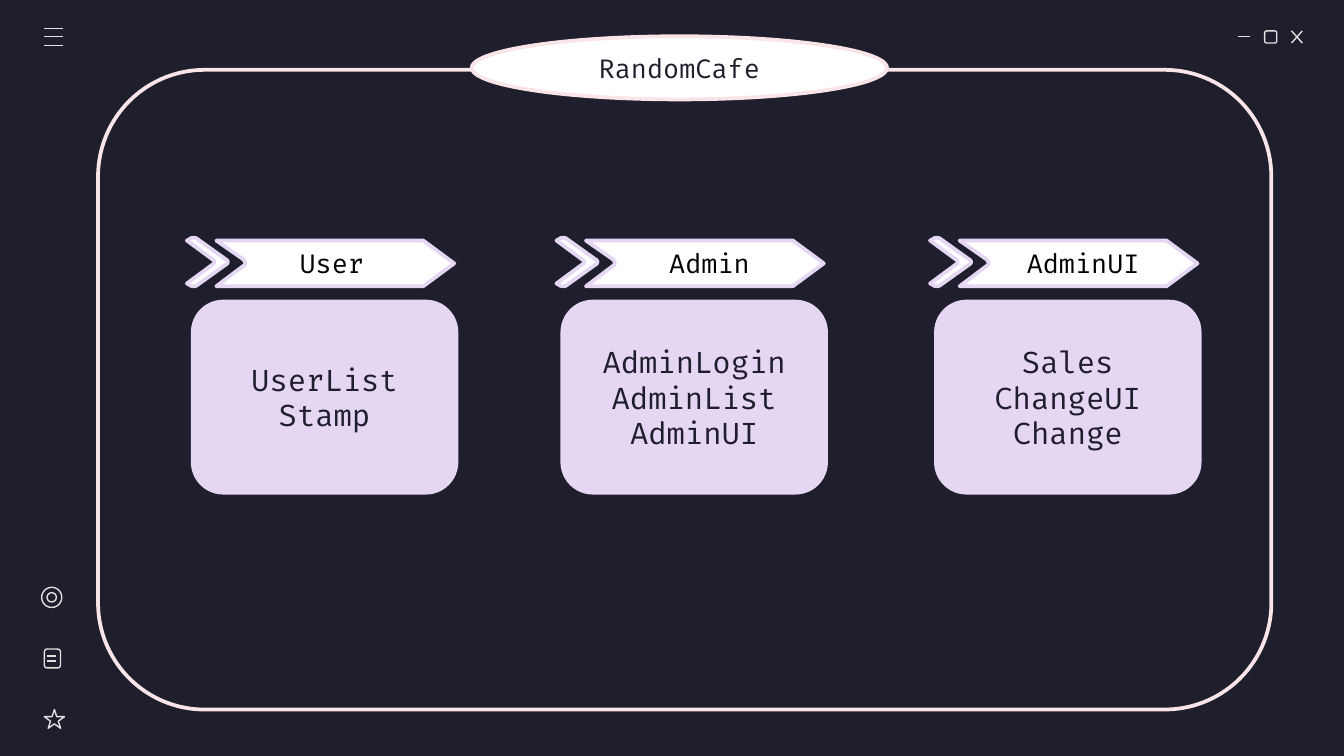
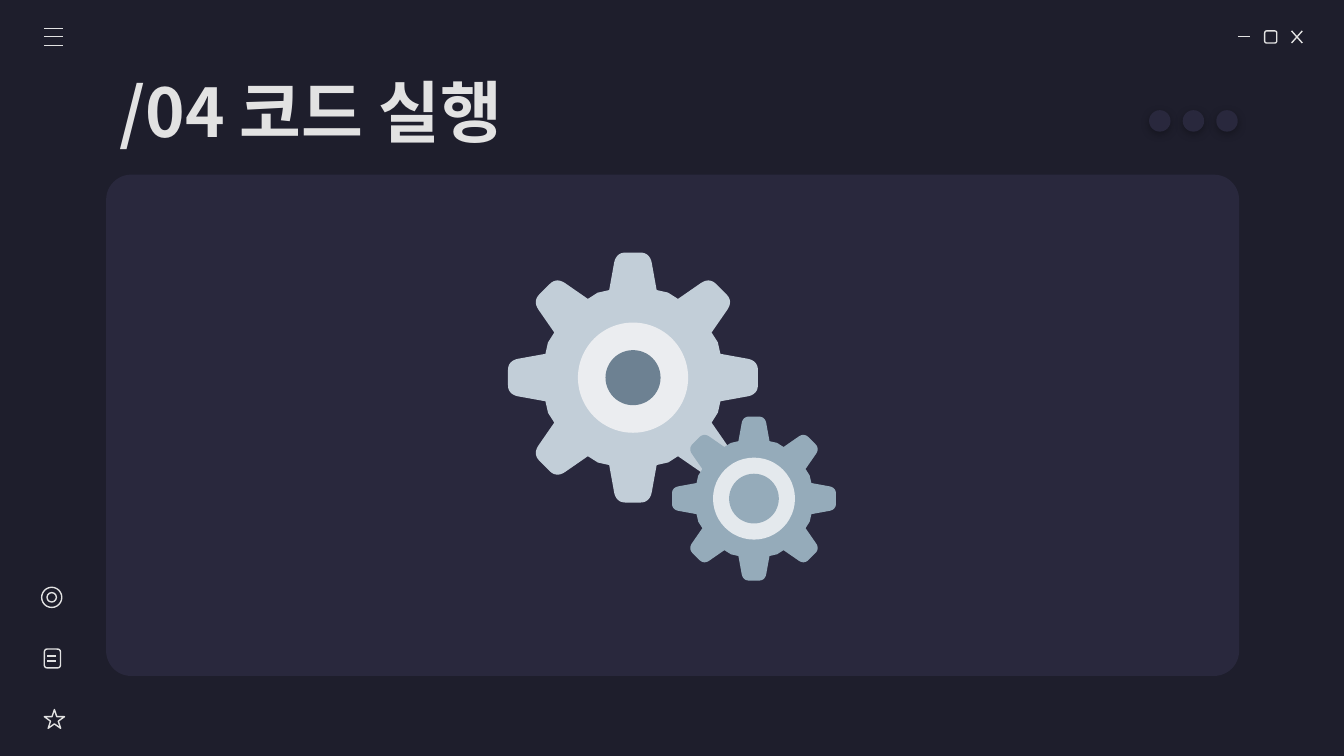
from dataclasses import dataclass
from math import cos, pi, sin
from typing import NamedTuple

from lxml import etree
from pptx import Presentation
from pptx.dml.color import RGBColor
from pptx.enum.shapes import MSO_CONNECTOR, MSO_SHAPE
from pptx.enum.text import MSO_ANCHOR, PP_ALIGN
from pptx.oxml.ns import qn
from pptx.util import Inches, Pt

ROUNDED = MSO_SHAPE.ROUNDED_RECTANGLE
OVAL = MSO_SHAPE.OVAL
STAR = MSO_SHAPE.STAR_5_POINT
STRAIGHT = MSO_CONNECTOR.STRAIGHT
MIDDLE = MSO_ANCHOR.MIDDLE
LEFT = PP_ALIGN.LEFT
CENTER = PP_ALIGN.CENTER

Point = tuple[float, float]
Path = list[tuple[float, ...]]


@dataclass(frozen=True)
class Theme:
    night: str = "1E1E2C"
    panel: str = "29283D"
    icon: str = "E2E2E2"
    blush: str = "F9E4E7"
    lilac: str = "E5D7F3"
    white: str = "FFFFFF"
    black: str = "000000"
    code_font: str = "Fira Code"
    title_font: str = "Noto Sans CJK KR"
    label_size: float = 14
    card_size: float = 16
    title_size: float = 36
    icon_line: float = 0.75
    outline: float = 2


THEME = Theme()


class Area(NamedTuple):
    left: float
    top: float
    width: float
    height: float


class Stroke(NamedTuple):
    x1: float
    y1: float
    x2: float
    y2: float


class Icon(NamedTuple):
    kind: int
    area: Area
    corner: float | None = None


class ClassGroup(NamedTuple):
    left: float
    label: str
    label_inset: float
    members: list[str]


class Gear(NamedTuple):
    x: float
    y: float
    radius: float
    ring: float
    hub: float
    colors: tuple[str, str, str]


ICON_STROKES = [
    Stroke(9.21, 0.27, 9.3, 0.27),
    Stroke(9.61, 0.23, 9.69, 0.32),
    Stroke(9.69, 0.23, 9.61, 0.32),
    *[Stroke(0.33, y, 0.47, y) for y in (0.21, 0.27, 0.34)],
    *[Stroke(0.35, y, 0.42, y) for y in (4.88, 4.92)],
]
ICONS = [
    Icon(ROUNDED, Area(9.41, 0.23, 0.09, 0.09), 0.17),
    Icon(STAR, Area(0.33, 5.28, 0.15, 0.14)),
    Icon(ROUNDED, Area(0.33, 4.83, 0.12, 0.14), 0.17),
    Icon(OVAL, Area(0.31, 4.37, 0.15, 0.15)),
    Icon(OVAL, Area(0.35, 4.41, 0.07, 0.07)),
]
GROUPS = [
    ClassGroup(1.42, "User", 0.62, ["UserList\nStamp"]),
    ClassGroup(4.17, "Admin", 0.62, ["AdminLogin", "AdminList", "AdminUI"]),
    ClassGroup(6.95, "AdminUI", 0.5, ["Sales", "ChangeUI\nChange"]),
]
GEARS = [
    Gear(4.71, 2.81, 0.93, 0.82, 0.41, ("C2CED8", "EBEDF0", "6D8192")),
    Gear(5.61, 3.71, 0.61, 0.61, 0.37, ("95ABBA", "E4E9ED", "95ABBA")),
]
CHEVRON: Path = [
    (0.05, 0), (0.04, 0, 0.03, 0, 0.02, 0.01), (0, 0.02), (0.19, 0.16),
    (0.21, 0.17, 0.21, 0.19, 0.19, 0.2), (0, 0.34), (0.02, 0.35),
    (0.03, 0.36, 0.04, 0.36, 0.05, 0.36), (0.06, 0.36, 0.07, 0.36, 0.08, 0.35),
    (0.29, 0.2), (0.31, 0.19, 0.31, 0.17, 0.29, 0.16), (0.08, 0.01),
    (0.07, 0, 0.06, 0, 0.05, 0),
]
BANNER: Path = [
    (0, 0), (0.2, 0.14), (0.22, 0.16, 0.22, 0.18, 0.2, 0.19),
    (0, 0.34), (1.54, 0.34), (1.77, 0.17), (1.54, 0),
]
TOOTH: Path = [
    (-0.19, -0.7), (-0.15, -0.92), (-0.14, -0.97, -0.11, -1, -0.06, -1),
    (0.06, -1), (0.11, -1, 0.14, -0.97, 0.15, -0.92), (0.19, -0.7), (0.28, -0.68),
]
TOOTH_COUNT = 8
CURVE_STEPS = 8


def color(value: str) -> RGBColor:
    return RGBColor.from_string(value)


def flatten(path: Path) -> list[Point]:
    points: list[Point] = []
    for step in path:
        if len(step) == 2:
            points.append((step[0], step[1]))
            continue
        (x0, y0), (x1, y1, x2, y2, x3, y3) = points[-1], step
        for index in range(1, CURVE_STEPS + 1):
            t = index / CURVE_STEPS
            a, b, c, d = (1 - t) ** 3, 3 * t * (1 - t) ** 2, 3 * t * t * (1 - t), t ** 3
            points.append((a * x0 + b * x1 + c * x2 + d * x3,
                           a * y0 + b * y1 + c * y2 + d * y3))
    return points


def paint(shape, fill: str | None, line: str | None = None,
          width: float = THEME.outline) -> None:
    shape.shadow.inherit = False
    if fill:
        shape.fill.solid()
        shape.fill.fore_color.rgb = color(fill)
    else:
        shape.fill.background()
    if line:
        shape.line.color.rgb = color(line)
        shape.line.width = Pt(width)
    else:
        shape.line.fill.background()


def add_box(page, kind: int, area: Area, fill: str | None, line: str | None = None,
            width: float = THEME.outline, corner: float | None = None):
    box = page.shapes.add_shape(kind, *map(Inches, area))
    paint(box, fill, line, width)
    if corner is not None:
        box.adjustments[0] = corner
    return box


def add_outline(page, points: list[Point], left: float, top: float,
                fill: str, line: str | None = None):
    corners = [(Inches(left + x), Inches(top + y)) for x, y in points]
    builder = page.shapes.build_freeform(*corners[0])
    builder.add_line_segments(corners[1:], close=True)
    shape = builder.convert_to_shape()
    paint(shape, fill, line)
    return shape


def add_circle(page, x: float, y: float, size: float, fill: str):
    return add_box(page, OVAL, Area(x - size / 2, y - size / 2, size, size), fill)


def write(box, texts: list[str], size: float, ink: str, align=CENTER,
          font: str = THEME.code_font, bold: bool = False) -> None:
    frame = box.text_frame
    frame.word_wrap = True
    frame.vertical_anchor = MIDDLE
    for index, text in enumerate(texts):
        para = frame.add_paragraph() if index else frame.paragraphs[0]
        para.text = text
        para.alignment = align
        para.font.size = Pt(size)
        para.font.bold = bold
        para.font.color.rgb = color(ink)
        para.font.name = font
        properties = para._p.pPr.find(qn("a:defRPr"))
        etree.SubElement(properties, qn("a:ea")).set("typeface", font)


def add_soft_shadow(shape) -> None:
    effects = shape._element.spPr.find(qn("a:effectLst"))
    shadow = etree.SubElement(effects, qn("a:outerShdw"), blurRad=str(Pt(4.5)),
                              dist=str(Pt(1.5)), dir="5400000", algn="bl",
                              rotWithShape="0")
    tint = etree.SubElement(shadow, qn("a:srgbClr"), val=THEME.black)
    etree.SubElement(tint, qn("a:alpha"), val="30000")


def add_window_icons(page) -> None:
    for stroke in ICON_STROKES:
        line = page.shapes.add_connector(STRAIGHT, *map(Inches, stroke))
        line.line.color.rgb = color(THEME.icon)
        line.line.width = Pt(THEME.icon_line)
        etree.SubElement(line._element.spPr, qn("a:effectLst"))
    for icon in ICONS:
        add_box(page, icon.kind, icon.area, None, THEME.icon, THEME.icon_line, icon.corner)


def add_page(deck):
    page = deck.slides.add_slide(deck.slide_layouts[6])
    page.background.fill.solid()
    page.background.fill.fore_color.rgb = color(THEME.night)
    return page


def add_class_group(page, group: ClassGroup) -> None:
    add_outline(page, flatten(CHEVRON), group.left - 0.03, 1.77, THEME.white, THEME.lilac)
    banner = add_outline(page, flatten(BANNER), group.left + 0.19, 1.79,
                         THEME.white, THEME.lilac)
    write(banner, [group.label], THEME.label_size, THEME.black, LEFT)
    banner.text_frame.margin_left = Inches(group.label_inset)
    card = add_box(page, ROUNDED, Area(group.left, 2.23, 1.99, 1.45), THEME.lilac)
    write(card, group.members, THEME.card_size, THEME.night)


def add_gear(page, gear: Gear) -> None:
    tooth = flatten(TOOTH)
    points: list[Point] = []
    for index in range(TOOTH_COUNT):
        angle = 2 * pi * index / TOOTH_COUNT
        points += [(gear.radius * (x * cos(angle) - y * sin(angle)),
                    gear.radius * (x * sin(angle) + y * cos(angle))) for x, y in tooth]
    body, ring, hub = gear.colors
    add_outline(page, points, gear.x, gear.y, body)
    add_circle(page, gear.x, gear.y, gear.ring, ring)
    add_circle(page, gear.x, gear.y, gear.hub, hub)


def build_class_page(deck) -> None:
    page = add_page(deck)
    add_box(page, ROUNDED, Area(0.73, 0.52, 8.73, 4.76), THEME.night, THEME.blush)
    add_window_icons(page)
    heading = add_box(page, OVAL, Area(3.51, 0.27, 3.09, 0.47), THEME.white, THEME.blush)
    write(heading, ["RandomCafe"], THEME.label_size, THEME.night)
    for group in GROUPS:
        add_class_group(page, group)


def build_run_page(deck) -> None:
    page = add_page(deck)
    add_box(page, ROUNDED, Area(0.79, 1.3, 8.43, 3.73), THEME.panel, corner=0.05)
    add_window_icons(page)
    title = page.shapes.add_textbox(*map(Inches, (0.79, 0.51, 8.43, 0.63)))
    write(title, ["/04 코드 실행"], THEME.title_size, THEME.icon, LEFT,
          THEME.title_font, True)
    for index in range(3):
        add_soft_shadow(add_circle(page, 9.13 - 0.25 * index, 0.9, 0.16, THEME.panel))
    for gear in GEARS:
        add_gear(page, gear)


def main() -> None:
    deck = Presentation()
    deck.slide_width = Inches(10)
    deck.slide_height = deck.slide_width * 9 // 16
    build_class_page(deck)
    build_run_page(deck)
    deck.save("out.pptx")


if __name__ == "__main__":
    main()
